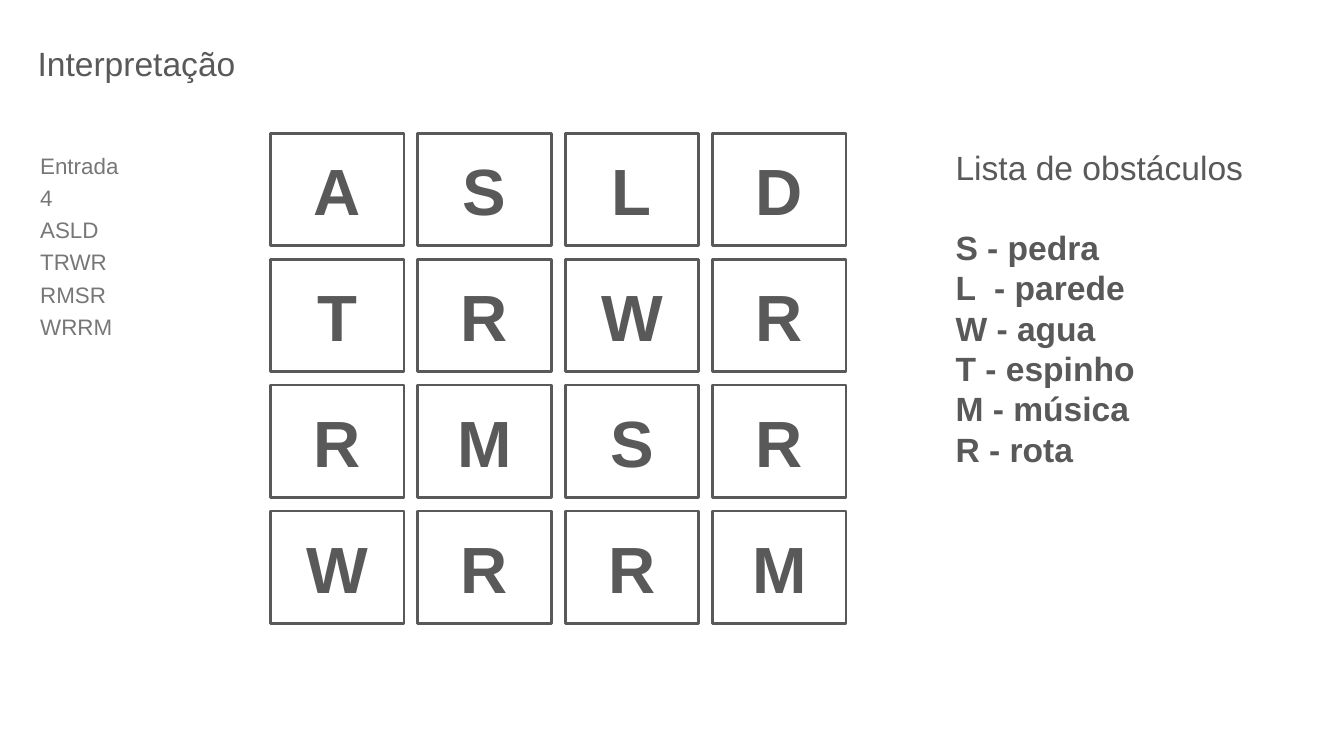
import pptx
import pptx.dml.color
import pptx.enum.shapes
import pptx.enum.text
import pptx.util

Cm = pptx.util.Cm
Pt = pptx.util.Pt
DARK = "595959"
GREY = "777777"
ROWS = ["ASLD", "TRWR", "RMSR", "WRRM"]
OBSTACLES = [
    "S - pedra", "L  - parede", "W - agua",
    "T - espinho", "M - música", "R - rota",
]


def colour(value):
    """Turn a hex string into a colour."""
    return pptx.dml.color.RGBColor.from_string(value)


def set_frame(frame):
    """Give a text frame wrapping and equal insets."""
    frame.word_wrap = True
    frame.margin_left = frame.margin_right = Cm(0.25)
    frame.margin_top = frame.margin_bottom = Cm(0.25)


def add_lines(para, lines, size, shade=DARK, bold=False):
    """Write lines into one paragraph, parted by line breaks."""
    for index, line in enumerate(lines):
        if index:
            para.add_line_break()
        span = para.add_run()
        span.text = line
        span.font.name = "Arial"
        span.font.size = Pt(size)
        span.font.bold = bold
        span.font.color.rgb = colour(shade)


def add_box(page, left, top, width, height):
    """Add an empty text box and return its frame."""
    box = page.shapes.add_textbox(Cm(left), Cm(top), Cm(width), Cm(height))
    set_frame(box.text_frame)
    return box.text_frame


def add_title(page, left, top, width, height):
    """Place the slide title."""
    frame = add_box(page, left, top, width, height)
    add_lines(frame.paragraphs[0], ["Interpretação"], 18)


def add_input(page, left, top, width, height):
    """Place the sample input that the map is read from."""
    para = add_box(page, left, top, width, height).paragraphs[0]
    para.line_spacing = 1.2
    para.space_after = Pt(15)
    add_lines(para, ["Entrada", str(len(ROWS)), *ROWS], 12, GREY)


def add_cell(page, letter, left, top, width, height):
    """Place one outlined map cell with its letter."""
    cell = page.shapes.add_shape(
        pptx.enum.shapes.MSO_SHAPE.RECTANGLE,
        Cm(left), Cm(top), Cm(width), Cm(height),
    )
    cell.shadow.inherit = False
    cell.fill.background()
    cell.line.color.rgb = colour(DARK)
    cell.line.width = Pt(1.5)
    frame = cell.text_frame
    set_frame(frame)
    frame.vertical_anchor = pptx.enum.text.MSO_ANCHOR.MIDDLE
    para = frame.paragraphs[0]
    para.alignment = pptx.enum.text.PP_ALIGN.CENTER
    add_lines(para, [letter], 35, bold=True)


def add_map(page, left, top, width, height, gap=0.26):
    """Fill the given box with the grid of map cells."""
    cell_width = (width + gap) / len(ROWS[0]) - gap
    cell_height = (height + gap) / len(ROWS) - gap
    for row, letters in enumerate(ROWS):
        for column, letter in enumerate(letters):
            add_cell(
                page, letter,
                left + column * (cell_width + gap),
                top + row * (cell_height + gap),
                cell_width, cell_height,
            )


def add_obstacles(page, left, top, width, height):
    """Place the heading and the list of obstacle letters."""
    frame = add_box(page, left, top, width, height)
    heading = frame.paragraphs[0]
    heading.space_after = Pt(21.5)
    add_lines(heading, ["Lista de obstáculos"], 18)
    add_lines(frame.add_paragraph(), OBSTACLES, 18, bold=True)


def main():
    """Build the slide and save it."""
    deck = pptx.Presentation()
    deck.slide_width = Cm(25.4)
    deck.slide_height = Cm(14.29)
    page = deck.slides.add_slide(deck.slide_layouts[6])
    add_map(page, 5.11, 2.52, 10.88, 9.26, gap=0.26)
    add_obstacles(page, 17.81, 2.52, 7.14, 6.38)
    add_input(page, 0.51, 2.52, 8.33, 4.11)
    add_title(page, 0.46, 0.56, 10.36, 1.17)
    deck.save("out.pptx")


if __name__ == "__main__":
    main()
